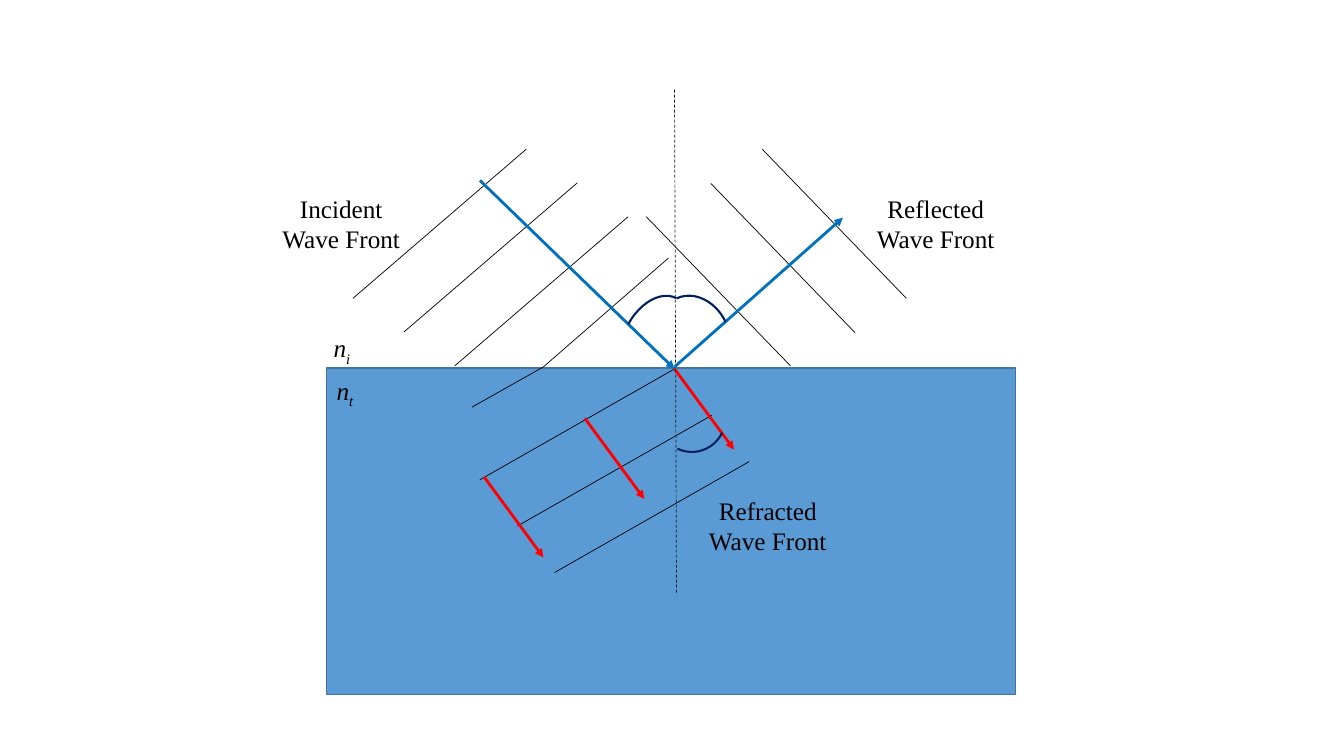
"""Draw the reflection and refraction of a wave front at an interface."""
from typing import NamedTuple, Optional

from pptx import Presentation
from pptx.dml.color import RGBColor
from pptx.enum import dml, shapes, text
from pptx.oxml import ns
from pptx.shapes.shapetree import SlideShapes
from pptx.util import Inches, Pt
from lxml import etree

BLACK = RGBColor(0, 0, 0)
NORMAL_GREY = RGBColor(0x18, 0x17, 0x17)
RED = RGBColor(0xFF, 0, 0)
RAY_BLUE = RGBColor(0, 0x70, 0xC0)
NAVY = RGBColor(0, 0x20, 0x60)
MEDIUM_FILL = RGBColor(0x5B, 0x9B, 0xD5)
MEDIUM_EDGE = RGBColor(0x43, 0x73, 0x9E)
FONT = "Times New Roman"


class Point(NamedTuple):
    x: float
    y: float


class Stroke(NamedTuple):
    color: RGBColor
    width: float
    arrow: bool = False
    dash: Optional[dml.MSO_LINE] = None


class Family(NamedTuple):
    """Parallel segments that share one offset from start to end."""
    starts: list[Point]
    offset: Point
    stroke: Stroke


class AngleArc(NamedTuple):
    left: float
    top: float
    width: float
    height: float
    rotation: float


class Label(NamedTuple):
    left: float
    top: float
    width: float
    height: float
    wording: str
    subscript: str = ""


FRONT = Stroke(BLACK, 0.5)
REFRACTED_RAY = Stroke(RED, 2, arrow=True)
RAY = Stroke(RAY_BLUE, 2, arrow=True)
NORMAL = Stroke(NORMAL_GREY, 0.5, dash=dml.MSO_LINE.DASH)

FAMILIES = [
    Family([Point(5.22 + 0.505 * i, 1.48 + 0.335 * i) for i in range(3)],
           Point(-1.72, 1.48), FRONT),
    Family([Point(6.63, 2.56)], Point(-1.24, 1.08), FRONT),
    Family([Point(5.39, 3.64)], Point(-0.71, 0.4), FRONT),
    Family([Point(6.69 + 0.37 * i, 3.66 + 0.46 * i) for i in range(3)],
           Point(-1.93, 1.1), FRONT),
    Family([Point(6.41, 2.15), Point(7.05, 1.82), Point(7.56, 1.48)],
           Point(1.43, 1.48), FRONT),
    Family([Point(6.69, 3.66), Point(5.8, 4.15), Point(4.8, 4.73)],
           Point(0.59, 0.8), REFRACTED_RAY),
    Family([Point(6.69, 0.89)], Point(0.02, 5), NORMAL),
    Family([Point(4.76, 1.79)], Point(1.93, 1.87), RAY),
    Family([Point(6.69, 3.64)], Point(1.67, -1.48), RAY),
]

ARCS = [
    AngleArc(6.53, 3.82, 0.67, 0.66, 116),
    AngleArc(6.04, 3.06, 0.91, 0.6, 298.1),
    AngleArc(6.55, 2.92, 0.68, 0.84, 334.6),
]

LABELS = [
    Label(2.65, 1.87, 1.47, 0.71, "Incident Wave Front"),
    Label(6.88, 4.86, 1.47, 0.71, "Refracted Wave Front"),
    Label(8.59, 1.87, 1.38, 0.71, "Reflected Wave Front"),
    Label(3.21, 3.25, 0.67, 0.4, "n", "i"),
    Label(3.24, 3.67, 0.67, 0.4, "n", "t"),
]


def draw_medium(tree: SlideShapes) -> None:
    medium = tree.add_shape(shapes.MSO_SHAPE.RECTANGLE, Inches(3.24),
                            Inches(3.65), Inches(6.83), Inches(3.24))
    medium.shadow.inherit = False
    medium.fill.solid()
    medium.fill.fore_color.rgb = MEDIUM_FILL
    medium.line.color.rgb = MEDIUM_EDGE
    medium.line.width = Pt(1)


def draw_family(tree: SlideShapes, family: Family) -> None:
    stroke = family.stroke
    for start in family.starts:
        segment = tree.add_connector(
            shapes.MSO_CONNECTOR.STRAIGHT, Inches(start.x), Inches(start.y),
            Inches(start.x + family.offset.x),
            Inches(start.y + family.offset.y))
        segment.line.color.rgb = stroke.color
        segment.line.width = Pt(stroke.width)
        if stroke.dash is not None:
            segment.line.dash_style = stroke.dash
        properties = segment._element.spPr
        if stroke.arrow:
            etree.SubElement(properties.find(ns.qn("a:ln")),
                             ns.qn("a:tailEnd"), type="triangle")
        etree.SubElement(properties, ns.qn("a:effectLst"))


def draw_arc(tree: SlideShapes, angle: AngleArc) -> None:
    arc = tree.add_shape(shapes.MSO_SHAPE.ARC, *map(Inches, angle[:4]))
    arc.rotation = angle.rotation
    arc.shadow.inherit = False
    arc.fill.background()
    arc.line.color.rgb = NAVY
    arc.line.width = Pt(1.5)


def draw_label(tree: SlideShapes, label: Label) -> None:
    frame = tree.add_textbox(*map(Inches, label[:4])).text_frame
    frame.word_wrap = True
    frame.auto_size = text.MSO_AUTO_SIZE.SHAPE_TO_FIT_TEXT
    frame.text = label.wording
    paragraph = frame.paragraphs[0]
    if label.subscript:
        index = paragraph.add_run()
        index.text = label.subscript
        index.font._element.set("baseline", "-25000")
    else:
        paragraph.alignment = text.PP_ALIGN.CENTER
    for run in paragraph.runs:
        run.font.name = FONT
        run.font.size = Pt(18)
        run.font.color.rgb = BLACK
        if label.subscript:
            run.font.italic = True


def main() -> None:
    deck = Presentation()
    deck.slide_width, deck.slide_height = Inches(13.33), Inches(7.5)
    tree = deck.slides.add_slide(deck.slide_layouts[6]).shapes
    draw_medium(tree)
    for family in FAMILIES:
        draw_family(tree, family)
    for angle in ARCS:
        draw_arc(tree, angle)
    for label in LABELS:
        draw_label(tree, label)
    deck.save("out.pptx")


if __name__ == "__main__":
    main()
